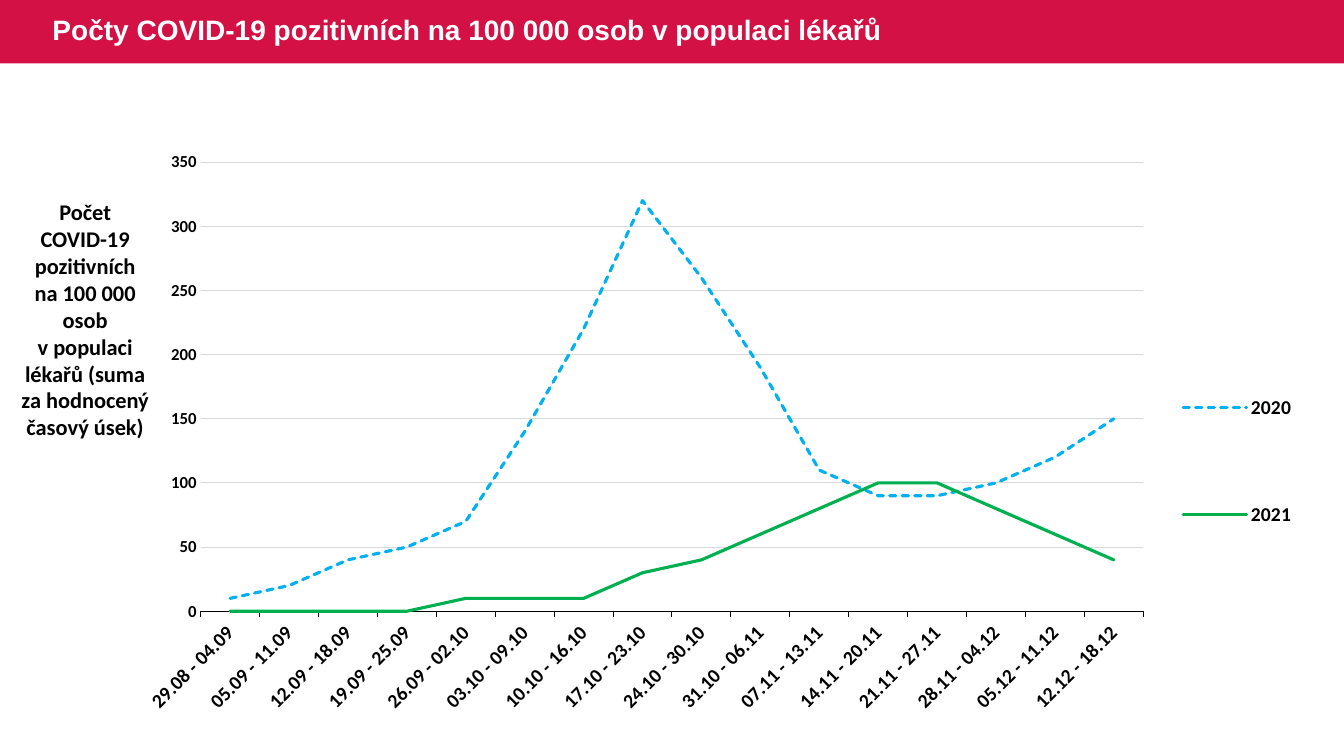
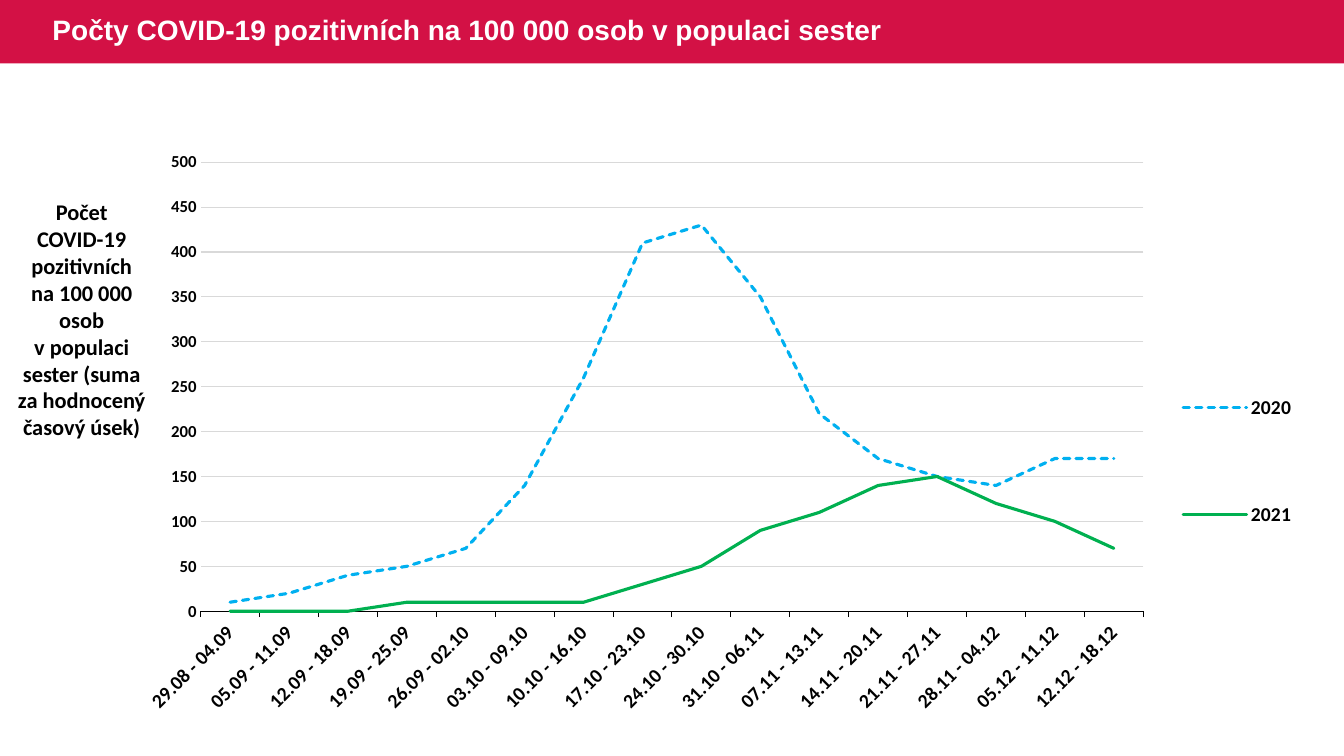
from dataclasses import dataclass

import pptx
import pptx.chart.data
import pptx.dml.color
import pptx.enum.chart
import pptx.enum.dml
import pptx.enum.text
import pptx.enum.shapes
import pptx.oxml
import pptx.oxml.ns
import pptx.util

Inches, Pt = pptx.util.Inches, pptx.util.Pt
ALIGN = pptx.enum.text.PP_ALIGN
FIT = pptx.enum.text.MSO_AUTO_SIZE
TICK = pptx.enum.chart.XL_TICK_MARK
TIE = chr(160)  # space that does not break

COLORS = {"band": "D31145", "white": "FFFFFF", "text": "000000",
          "grid": "D9D9D9", "2020": "00B0F0", "2021": "00B050"}
FONTS = {
    "title": {"name": "Arial", "size": Pt(20), "bold": True},
    "note": {"name": "Calibri", "size": Pt(16), "bold": True},
    "chart": {"name": "Calibri", "size": Pt(14), "bold": True},
    "scale": {"name": "Calibri", "size": Pt(12), "bold": True},
}
WEEKS = ["29.08 - 04.09", "05.09 - 11.09", "12.09 - 18.09", "19.09 - 25.09",
         "26.09 - 02.10", "03.10 - 09.10", "10.10 - 16.10", "17.10 - 23.10",
         "24.10 - 30.10", "31.10 - 06.11", "07.11 - 13.11", "14.11 - 20.11",
         "21.11 - 27.11", "28.11 - 04.12", "05.12 - 11.12", "12.12 - 18.12"]


@dataclass
class Page:
    group: str
    left: float
    width: float
    top: int
    lines: dict[str, list[int]]


PAGES = [
    Page("lékařů", 0.06, 1.57, 350, {
        "2020": [10, 20, 40, 50, 70, 140, 220, 320,
                 260, 190, 110, 90, 90, 100, 120, 150],
        "2021": [0, 0, 0, 0, 10, 10, 10, 30,
                 40, 60, 80, 100, 100, 80, 60, 40]}),
    Page("sester", 0.05, 1.52, 500, {
        "2020": [10, 20, 40, 50, 70, 140, 260, 410,
                 430, 350, 220, 170, 150, 140, 170, 170],
        "2021": [0, 0, 0, 10, 10, 10, 10, 30,
                 50, 90, 110, 140, 150, 120, 100, 70]}),
]


def color(key: str) -> pptx.dml.color.RGBColor:
    return pptx.dml.color.RGBColor.from_string(COLORS[key])


def style(font, kind: str, tint: str = "text") -> None:
    for name, value in FONTS[kind].items():
        setattr(font, name, value)
    font.color.rgb = color(tint)


def stroke(line, tint: str, width: float) -> None:
    line.color.rgb = color(tint)
    line.width = Pt(width)


def place(shape, left: float, top: float, width: float, height: float) -> None:
    shape.left, shape.top = Inches(left), Inches(top)
    shape.width, shape.height = Inches(width), Inches(height)


def strip(holder) -> None:
    """Keep only the title and body places."""
    for item in list(holder.placeholders):
        if item.placeholder_format.type in FOOTERS:
            item._element.getparent().remove(item._element)


KINDS = pptx.enum.shapes.PP_PLACEHOLDER
FOOTERS = (KINDS.DATE, KINDS.FOOTER, KINDS.SLIDE_NUMBER)


def set_base(layout, slide) -> None:
    """Put the band and the title place on the shared layout."""
    band = slide.shapes.add_shape(
        pptx.enum.shapes.MSO_SHAPE.RECTANGLE, 0, 0, Inches(13.33), Inches(0.63))
    band.shadow.inherit = False
    band.fill.solid()
    band.fill.fore_color.rgb = color("band")
    band.line.fill.background()
    layout.shapes._spTree.insert(2, band._element)
    place(layout.placeholders[0], 0.42, 0, 9.23, 0.63)


def add_title(slide, text: str) -> None:
    frame = slide.shapes.title.text_frame
    frame.text = text
    frame.auto_size = FIT.NONE
    frame.vertical_anchor = pptx.enum.text.MSO_ANCHOR.MIDDLE
    para = frame.paragraphs[0]
    para.alignment = ALIGN.LEFT
    para.line_spacing = 0.9
    style(para.runs[0].font, "title", "white")


def add_note(slide, page: Page) -> None:
    box = slide.shapes.add_textbox(0, 0, 0, 0)
    place(box, page.left, 1.92, page.width, 2.26)
    frame = box.text_frame
    frame.word_wrap = True
    frame.auto_size = FIT.SHAPE_TO_FIT_TEXT
    para = frame.paragraphs[0]
    para.alignment = ALIGN.CENTER
    run = para.add_run()
    run.text = (f"Počet COVID-19 pozitivních na{TIE}100{TIE}000 osob "
                f"v{TIE}populaci {page.group} (suma za hodnocený časový úsek)")
    style(run.font, "note")


def set_frame(part, inner: bool, **sizes: float) -> None:
    """Give a chart part a fixed place, in percent of the chart."""
    for old in part.findall(pptx.oxml.ns.qn("c:layout")):
        part.remove(old)
    goal = '<c:layoutTarget val="inner"/>' if inner else ""
    modes = "".join(f'<c:{key}Mode val="edge"/>' for key in "xy")
    spans = "".join(f'<c:{key} val="{value / 100:.3f}"/>'
                    for key, value in sizes.items())
    node = pptx.oxml.parse_xml(
        f'<c:layout {pptx.oxml.ns.nsdecls("c")}><c:manualLayout>'
        f"{goal}{modes}{spans}</c:manualLayout></c:layout>")
    part.insert(0 if inner else 1, node)


def add_chart(slide, page: Page) -> None:
    data = pptx.chart.data.CategoryChartData(number_format="0")
    data.categories = WEEKS
    for name, values in page.lines.items():
        data.add_series(name, values)
    chart = slide.shapes.add_chart(
        pptx.enum.chart.XL_CHART_TYPE.LINE, Inches(1.45), Inches(1.51),
        Inches(11.66), Inches(5.87), data).chart
    chart.has_title = False
    style(chart.font, "chart")

    # Lines
    chart.plots[0].vary_by_categories = False
    for line in chart.plots[0].series:
        line.smooth = False
        line.marker.style = pptx.enum.chart.XL_MARKER_STYLE.NONE
        stroke(line.format.line, line.name, 2.25)
        line._element.spPr.find(pptx.oxml.ns.qn("a:ln")).set("cap", "rnd")
    dash = pptx.enum.dml.MSO_LINE.SQUARE_DOT
    chart.plots[0].series[0].format.line.dash_style = dash

    # Axes
    weeks, scale = chart.category_axis, chart.value_axis
    weeks.major_tick_mark = TICK.OUTSIDE
    style(weeks.tick_labels.font, "chart")
    weeks._element.txPr.bodyPr.set("rot", "-2700000")
    stroke(weeks.format.line, "text", 0.75)
    limits = {"minimum_scale": 0, "maximum_scale": page.top, "major_unit": 50,
              "major_tick_mark": TICK.NONE, "has_major_gridlines": True}
    for name, value in limits.items():
        setattr(scale, name, value)
    style(scale.tick_labels.font, "scale")
    scale.format.line.fill.background()
    stroke(scale.major_gridlines.format.line, "grid", 0.75)

    # Legend and plot area
    chart.has_legend = True
    legend = chart.legend
    legend.position = pptx.enum.chart.XL_LEGEND_POSITION.RIGHT
    legend.include_in_layout = False
    style(legend.font, "chart")
    set_frame(legend._element, False, x=87.3, y=27.2, w=11, h=50)
    plot = chart._chartSpace.chart.plotArea
    set_frame(plot, True, x=4.5, y=1.7, w=80.3, h=75.9)


def main() -> None:
    deck = pptx.Presentation()
    deck.slide_width, deck.slide_height = Inches(13.33), Inches(7.5)
    layout = deck.slide_layouts[5]
    for other in list(deck.slide_layouts):
        if other.name != layout.name:
            deck.slide_layouts.remove(other)
    for holder in (deck.slide_master, layout):
        strip(holder)
    for index, page in enumerate(PAGES):
        slide = deck.slides.add_slide(layout)
        if index == 0:
            set_base(layout, slide)
        add_title(slide, "Počty COVID-19 pozitivních na 100 000 osob "
                         f"v populaci {page.group}")
        add_chart(slide, page)
        add_note(slide, page)
    deck.save("out.pptx")


if __name__ == "__main__":
    main()
